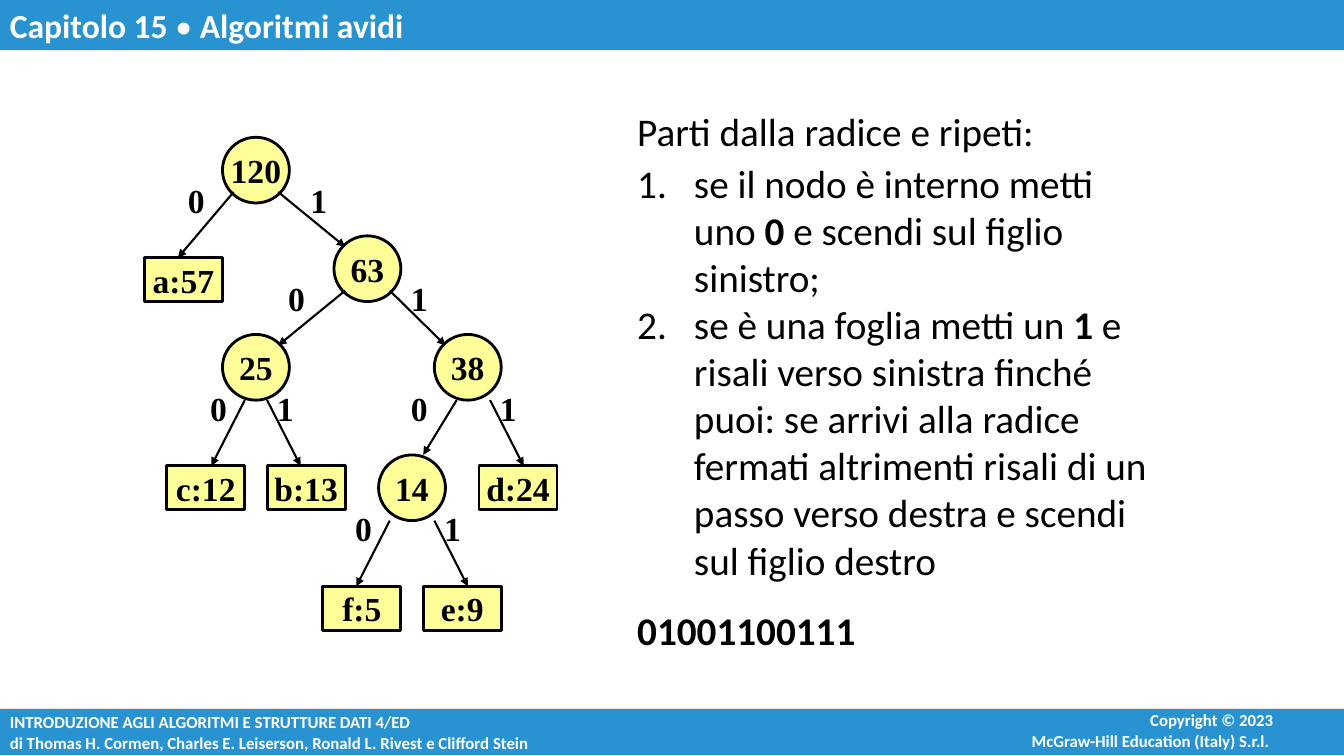
from lxml.etree import SubElement
from pptx import Presentation
from pptx.dml.color import RGBColor
from pptx.enum.shapes import MSO_CONNECTOR, MSO_SHAPE
from pptx.enum.text import MSO_ANCHOR, PP_ALIGN
from pptx.oxml.ns import qn
from pptx.util import Cm, Pt

BLUE, WHITE, BLACK, YELLOW, GREY = "2993D1", "FFFFFF", "000000", "FFFF99", "E7E6E6"


def write(shape, lines, size, font="Calibri", colour=BLACK, bold=False,
          align=PP_ALIGN.LEFT, anchor=MSO_ANCHOR.TOP, wrap=True, numbered=False):
    """Fill a shape with paragraphs; text between asterisks flips the weight."""
    frame = shape.text_frame
    frame.word_wrap = wrap
    frame.vertical_anchor = anchor
    for index, line in enumerate(lines):
        paragraph = frame.add_paragraph() if index else frame.paragraphs[0]
        paragraph.alignment = align
        if numbered:
            properties = paragraph._p.get_or_add_pPr()
            properties.set("marL", str(Cm(1.43)))
            properties.set("indent", str(-Cm(1.43)))
            SubElement(properties, qn("a:buAutoNum"), type="arabicPeriod")
        paragraph.font.size = Pt(size)
        paragraph.font.name = font
        paragraph.font.bold = bold
        paragraph.font.color.rgb = RGBColor.from_string(colour)
        pieces = line.split("*")
        if len(pieces) == 1:
            paragraph.text = line
            continue
        for position, piece in enumerate(pieces):
            run = paragraph.add_run()
            run.text = piece
            if position % 2:
                run.font.bold = not bold


def add_filled(kind, left, top, width, height, fill, line, weight):
    shape = slide.shapes.add_shape(kind, left, top, width, height)
    shape.shadow.inherit = False
    shape.fill.solid()
    shape.fill.fore_color.rgb = RGBColor.from_string(fill)
    shape.line.color.rgb = RGBColor.from_string(line)
    shape.line.width = Pt(weight)
    return shape


presentation = Presentation()
presentation.slide_width = Cm(33.87)
presentation.slide_height = Cm(19.05)
slide = presentation.slides.add_slide(presentation.slide_layouts[6])

# Footer and header bars
footer = add_filled(MSO_SHAPE.RECTANGLE, 0, Cm(17.86), Cm(33.9), Cm(1.19), BLUE, GREY, 0.75)
write(footer, ["INTRODUZIONE AGLI ALGORITMI E STRUTTURE DATI 4/ED\v"
               "di Thomas H. Cormen, Charles E. Leiserson, Ronald L. Rivest e Clifford Stein"],
      12, colour=WHITE, bold=True, anchor=MSO_ANCHOR.MIDDLE, wrap=False)

copyright_line = slide.shapes.add_textbox(Cm(22.56), Cm(17.77), Cm(9.78), Cm(1.27))
write(copyright_line, ["Copyright © 2023", "McGraw-Hill Education (Italy) S.r.l. "],
      12, colour=WHITE, bold=True, align=PP_ALIGN.RIGHT)

header = add_filled(MSO_SHAPE.RECTANGLE, 0, 0, Cm(33.9), Cm(1.27), BLUE, GREY, 0.75)
write(header, ["Capitolo 15 *•* Algoritmi avidi"], 24, colour=WHITE, bold=True)

# Tree grid: all positions below are in columns and rows of this grid
TREE_LEFT, TREE_TOP = Cm(3.64), Cm(3.46)
COLUMN, ROW = Cm(2.81) / 10, Cm(2.76) / 10
tree_text = dict(size=24, font="Times New Roman", bold=True,
                 anchor=MSO_ANCHOR.MIDDLE, wrap=False)

# Internal nodes and leaves
internal_nodes = [("120", 7, 0), ("63", 17, 9), ("25", 7, 18), ("38", 26, 18), ("14", 21, 29)]
leaves = [("a:57", 0, 11), ("c:12", 2, 30), ("b:13", 11, 30),
          ("d:24", 30, 30), ("f:5", 16, 41), ("e:9", 25, 41)]
for kind, columns, rows, nodes in [(MSO_SHAPE.OVAL, 6, 6, internal_nodes),
                                   (MSO_SHAPE.RECTANGLE, 7, 4, leaves)]:
    for label, column, row in nodes:
        node = add_filled(kind, int(TREE_LEFT + column * COLUMN), int(TREE_TOP + row * ROW),
                          int(columns * COLUMN), int(rows * ROW), YELLOW, BLACK, 2)
        write(node, [label], align=PP_ALIGN.CENTER, **tree_text)

# Branches: start, end, then the bit and its place
branches = [
    (8, 5, 3, 11, "0", 3, 3), (12, 5, 18, 10, "1", 14, 3),
    (18, 14, 12, 19, "0", 12, 12), (22, 14, 27, 19, "1", 23, 12),
    (9, 24, 6, 30, "0", 5, 22), (11, 24, 14, 30, "1", 11, 22),
    (28, 24, 25, 29, "0", 23, 22), (31, 24, 34, 30, "1", 31, 22),
    (22, 35, 19, 41, "0", 18, 33), (26, 35, 29, 41, "1", 26, 33),
]
for x1, y1, x2, y2, bit, bit_column, bit_row in branches:
    branch = slide.shapes.add_connector(
        MSO_CONNECTOR.STRAIGHT,
        int(TREE_LEFT + x1 * COLUMN), int(TREE_TOP + y1 * ROW),
        int(TREE_LEFT + x2 * COLUMN), int(TREE_TOP + y2 * ROW))
    branch.line.color.rgb = RGBColor.from_string(BLACK)
    branch.line.width = Pt(1.5)
    SubElement(branch.line._get_or_add_ln(), qn("a:tailEnd"), type="triangle")
    SubElement(branch._element.spPr, qn("a:effectLst"))
    bit_label = slide.shapes.add_textbox(int(TREE_LEFT + bit_column * COLUMN),
                                         int(TREE_TOP + bit_row * ROW), Cm(1.02), Cm(1.5))
    write(bit_label, [bit], **tree_text)

# Visit procedure and resulting code
TEXT_LEFT = Cm(15.81)
introduction = slide.shapes.add_textbox(TEXT_LEFT, Cm(2.57), Cm(13.11), Cm(1.45))
write(introduction, ["Parti dalla radice e ripeti:"], 28)

steps = slide.shapes.add_textbox(TEXT_LEFT, Cm(3.89), Cm(13.55), Cm(11.02))
write(steps, [
    "se il nodo è interno metti uno *0* e scendi sul figlio sinistro;",
    "se è una foglia metti un *1* e risali verso sinistra finché puoi: se arrivi alla radice "
    "fermati altrimenti risali di un passo verso destra e scendi sul figlio destro",
], 28, numbered=True)

tree_code = slide.shapes.add_textbox(TEXT_LEFT, Cm(15.15), Cm(6.1), Cm(1.45))
write(tree_code, ["01001100111"], 28, bold=True, wrap=False)

presentation.save("out.pptx")
